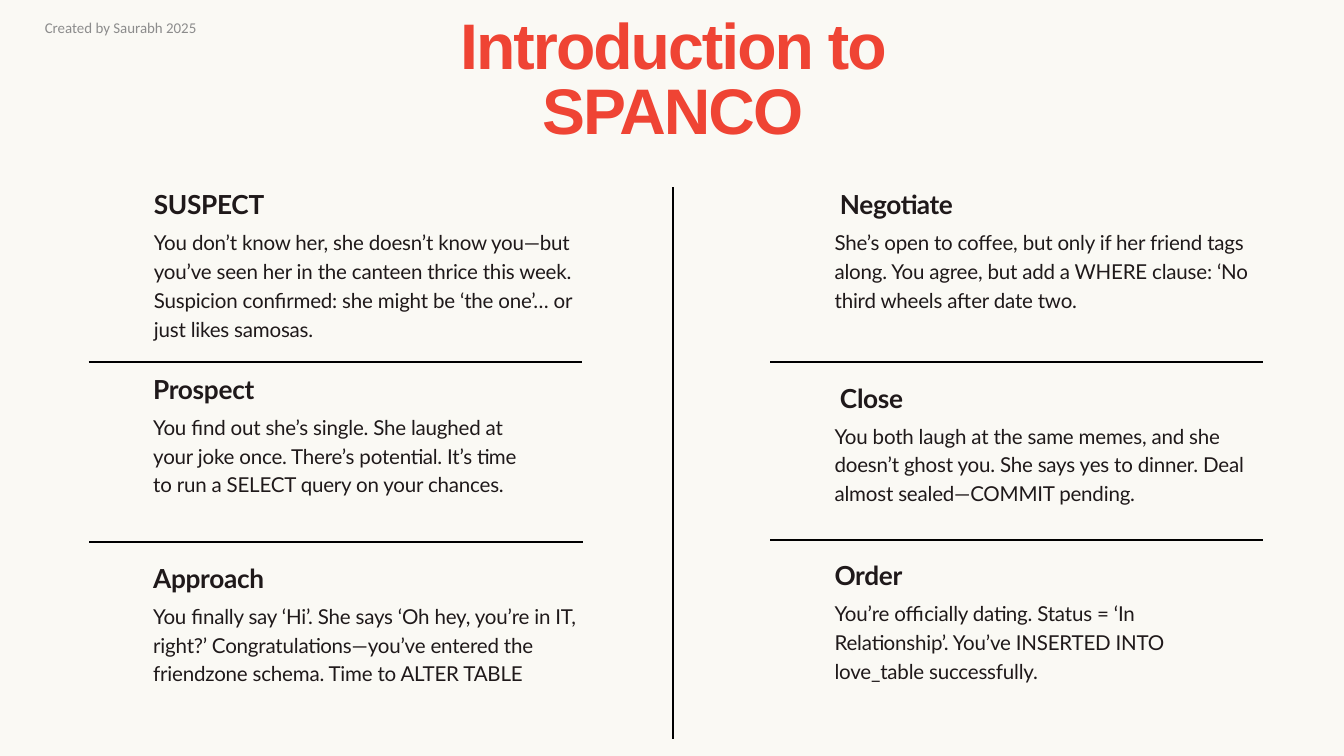
from dataclasses import dataclass

from lxml import etree
from pptx import Presentation
from pptx.dml.color import RGBColor
from pptx.enum.shapes import MSO_CONNECTOR
from pptx.enum.text import MSO_ANCHOR, MSO_AUTO_SIZE, PP_ALIGN
from pptx.oxml.ns import qn
from pptx.shapes.base import BaseShape
from pptx.slide import Slide
from pptx.util import Inches, Pt

STRAIGHT = MSO_CONNECTOR.STRAIGHT
TOP, MIDDLE = MSO_ANCHOR.TOP, MSO_ANCHOR.MIDDLE
LEFT, CENTER = PP_ALIGN.LEFT, PP_ALIGN.CENTER
GROW = MSO_AUTO_SIZE.SHAPE_TO_FIT_TEXT

CREAM = RGBColor(0xFA, 0xF9, 0xF4)
BLACK = RGBColor(0x00, 0x00, 0x00)
INK = RGBColor(0x1F, 0x19, 0x1A)
RED = RGBColor(0xEF, 0x44, 0x34)
GRAY = RGBColor(0x8C, 0x8C, 0x8C)

HEADING_WIDTH, HEADING_HEIGHT = 5.7, 0.53
BODY_OFFSET = 0.63
INDENT = 0.08


@dataclass(frozen=True)
class TextStyle:
    font: str
    size: float
    color: RGBColor
    bold: bool = False
    tracking: float = 0
    line_spacing: float | None = None
    align: PP_ALIGN = LEFT


@dataclass(frozen=True)
class Stage:
    heading: str
    body: str
    left: float
    top: float
    body_width: float
    body_height: float
    indent: float = 0


@dataclass(frozen=True)
class Rule:
    x1: float
    y1: float
    x2: float
    y2: float


TITLE = TextStyle("Arial", 69, RED, True, -2.1, 69, CENTER)
HEADING = TextStyle("Lato", 28.1, INK, True, -0.3, 39.3)
BODY = TextStyle("Lato", 22, INK, False, -0.2, 30.9)
CREDIT = TextStyle("Calibri", 16, GRAY, align=CENTER)

STAGES = [
    Stage("SUSPECT", "You don’t know her, she doesn’t know you—but you’ve seen her in the canteen "
          "thrice this week. Suspicion confirmed: she might be ‘the one’… or just likes samosas.",
          2.29, 2.73, 6.39, 1.68),
    Stage("Prospect", "You find out she’s single. She laughed at your joke once. There’s potential. "
          "It’s time to run a SELECT query on your chances.",
          2.28, 5.48, 5.7, 1.68),
    Stage("Approach", "You finally say ‘Hi’. She says ‘Oh hey, you’re in IT, right?’ "
          "Congratulations—you’ve entered the friendzone schema. Time to ALTER TABLE",
          2.28, 8.29, 6.39, 1.68),
    Stage("Negotiate", "She’s open to coffee, but only if her friend tags along. You agree, but add "
          "a WHERE clause: ‘No third wheels after date two.",
          12.42, 2.73, 6.39, 1.25, INDENT),
    Stage("Close", "You both laugh at the same memes, and she doesn’t ghost you. She says yes to "
          "dinner. Deal almost sealed—COMMIT pending.",
          12.42, 5.61, 6.39, 1.25, INDENT),
    Stage("Order", "You’re officially dating. Status = ‘In Relationship’. You’ve INSERTED INTO "
          "love_table successfully.",
          12.42, 8.25, 5.7, 1.25),
]

RULES = [
    Rule(1.32, 5.39, 8.66, 5.39),
    Rule(1.33, 8.07, 8.67, 8.07),
    Rule(11.46, 5.39, 18.8, 5.39),
    Rule(11.46, 8.04, 18.8, 8.04),
    Rule(10.02, 2.79, 10.02, 10.99),
]


def write(box: BaseShape, text: str, style: TextStyle, indent: float = 0) -> None:
    frame = box.text_frame
    frame.text = text
    frame.word_wrap = True
    frame.auto_size = GROW
    frame.vertical_anchor = TOP
    frame.margin_left = Inches(indent)
    frame.margin_right = frame.margin_top = frame.margin_bottom = 0
    para = frame.paragraphs[0]
    para.alignment = style.align
    para.space_before = Pt(0)
    if style.line_spacing:
        para.line_spacing = Pt(style.line_spacing)
    span = para.runs[0]
    span.font.name = style.font
    span.font.size = Pt(style.size)
    span.font.bold = style.bold
    span.font.color.rgb = style.color
    if style.tracking:
        span._r.get_or_add_rPr().set("spc", str(round(style.tracking * 100)))


def add_text(page: Slide, left: float, top: float, width: float, height: float,
             text: str, style: TextStyle, indent: float = 0) -> BaseShape:
    box = page.shapes.add_textbox(Inches(left), Inches(top), Inches(width), Inches(height))
    write(box, text, style, indent)
    return box


def add_stage(page: Slide, stage: Stage) -> None:
    add_text(page, stage.left, stage.top, HEADING_WIDTH, HEADING_HEIGHT,
             stage.heading, HEADING, stage.indent)
    add_text(page, stage.left, stage.top + BODY_OFFSET, stage.body_width, stage.body_height,
             stage.body, BODY)


def add_rule(page: Slide, rule: Rule) -> None:
    line = page.shapes.add_connector(STRAIGHT, Inches(rule.x1), Inches(rule.y1),
                                     Inches(rule.x2), Inches(rule.y2))
    line.line.color.rgb = BLACK
    line.line.width = Pt(2.25)
    etree.SubElement(line._element.spPr, qn("a:effectLst"))


def main() -> None:
    deck = Presentation()
    deck.slide_width, deck.slide_height = Inches(20), Inches(11.25)
    page = deck.slides.add_slide(deck.slide_layouts.get_by_name("Title Only"))
    page.background.fill.solid()
    page.background.fill.fore_color.rgb = CREAM

    title = page.shapes.title
    title.left, title.top = Inches(6.28), Inches(0.27)
    title.width, title.height = Inches(7.46), Inches(1.95)
    write(title, "Introduction to SPANCO", TITLE)

    for rule in RULES:
        add_rule(page, rule)
    for stage in STAGES:
        add_stage(page, stage)

    credit = add_text(page, 0.17, 0.19, 3.25, 0.44, "Created by Saurabh 2025", CREDIT)
    credit.text_frame.auto_size = MSO_AUTO_SIZE.NONE
    credit.text_frame.vertical_anchor = MIDDLE

    deck.save("out.pptx")


if __name__ == "__main__":
    main()
